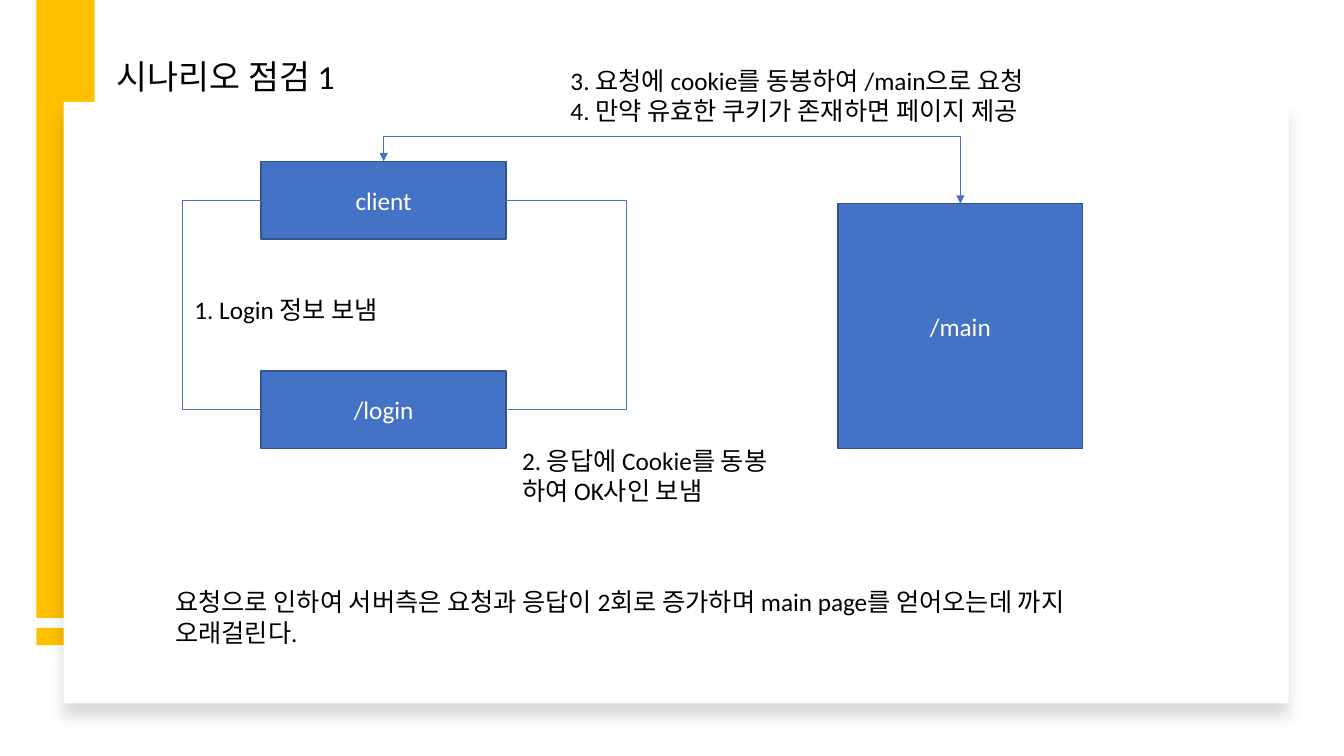
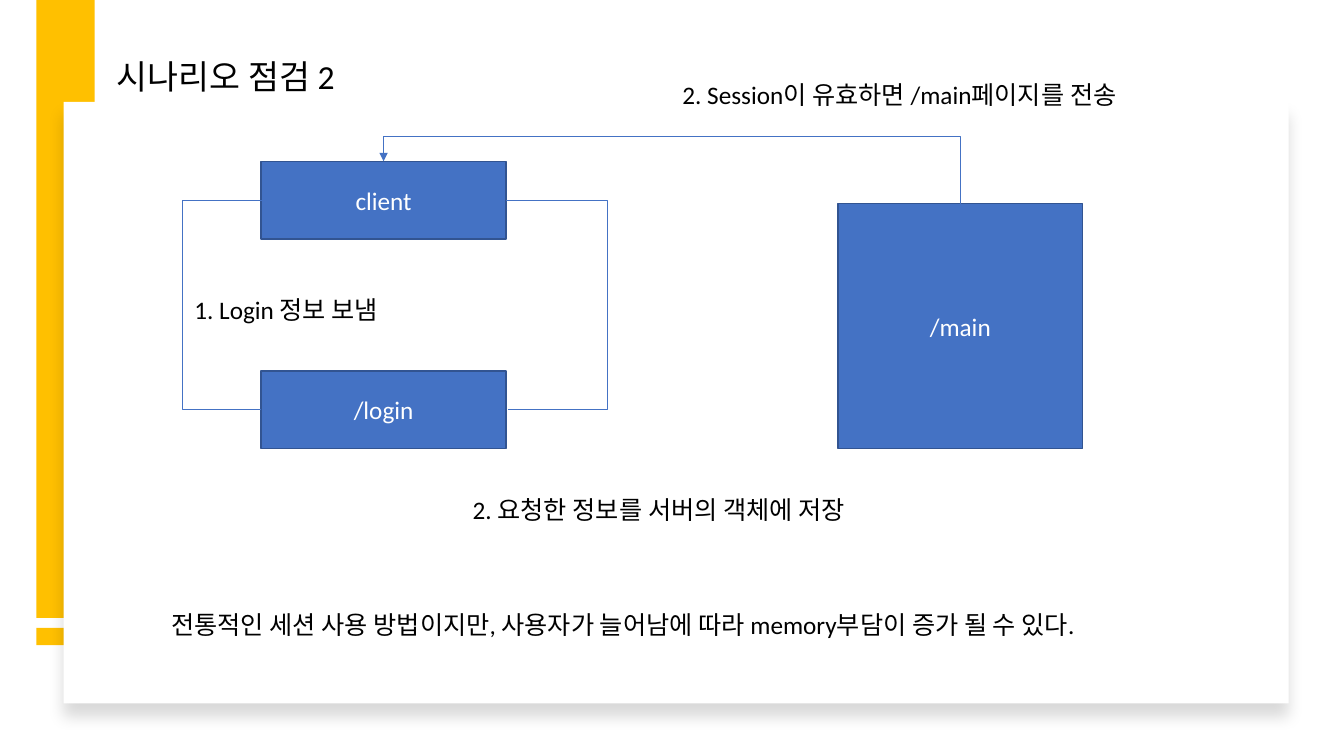
from lxml.etree import SubElement
from pptx import Presentation
from pptx.dml.color import RGBColor
from pptx.enum.shapes import MSO_CONNECTOR, MSO_SHAPE
from pptx.enum.text import MSO_ANCHOR, MSO_AUTO_SIZE, PP_ALIGN
from pptx.oxml.ns import qn
from pptx.util import Inches, Pt

FONT = "Calibri"
BLACK = "000000"
WHITE = "FFFFFF"
AMBER = "FFC000"
BLUE = "4472C4"
NAVY = "325491"
TOP, LEFT, RIGHT = 0, 1, 3


def color(value):
    return RGBColor.from_string(value)


def write(frame, text, size=18, ink=BLACK, align=PP_ALIGN.LEFT,
          anchor=MSO_ANCHOR.TOP, fit=MSO_AUTO_SIZE.SHAPE_TO_FIT_TEXT):
    frame.word_wrap = True
    frame.auto_size = fit
    frame.vertical_anchor = anchor
    for index, line in enumerate(text.split("\n")):
        para = frame.add_paragraph() if index else frame.paragraphs[0]
        para.alignment = align
        span = para.add_run()
        span.text = line
        span.font.name = FONT
        span.font.size = Pt(size)
        span.font.color.rgb = color(ink)


def add_label(page, text, left, top, width, height=0.4):
    box = page.shapes.add_textbox(*map(Inches, (left, top, width, height)))
    write(box.text_frame, text)


def add_block(page, left, top, width, height, fill, outline=None):
    box = page.shapes.add_shape(
        MSO_SHAPE.RECTANGLE, *map(Inches, (left, top, width, height)))
    box.shadow.inherit = False
    box.fill.solid()
    box.fill.fore_color.rgb = color(fill)
    if outline:
        box.line.color.rgb = color(outline)
        box.line.width = Pt(1)
    else:
        box.line.fill.background()
    return box


def add_node(page, text, left, top, width, height):
    box = add_block(page, left, top, width, height, BLUE, NAVY)
    write(box.text_frame, text, ink=WHITE, align=PP_ALIGN.CENTER,
          anchor=MSO_ANCHOR.MIDDLE, fit=MSO_AUTO_SIZE.NONE)
    return box


def add_panel(page, left, top, width, height):
    panel = add_block(page, left, top, width, height, WHITE)
    effects = panel.element.spPr.find(qn("a:effectLst"))
    shadow = SubElement(effects, qn("a:outerShdw"), blurRad=str(Pt(11)),
                        dist=str(Pt(10)), dir="5400000", algn="t", rotWithShape="0")
    tint = SubElement(shadow, qn("a:srgbClr"), val=BLACK)
    SubElement(tint, qn("a:alpha"), val="15000")


def add_elbow(page, start, end, box, bend, rotation=0, flip=None, arrows=()):
    line = page.shapes.add_connector(MSO_CONNECTOR.ELBOW, 0, 0, 0, 0)
    line.begin_connect(*start)
    line.end_connect(*end)
    line.left, line.top, line.width, line.height = map(int, box)
    line.line.color.rgb = color(BLUE)
    line.line.width = Pt(0.5)
    properties = line.element.spPr
    frame = properties.find(qn("a:xfrm"))
    for name in ("flipH", "flipV"):
        frame.attrib.pop(name, None)
    frame.set("rot", str(rotation * 60000))
    if flip:
        frame.set(flip, "1")
    geometry = properties.find(qn("a:prstGeom"))
    guides = geometry.find(qn("a:avLst"))
    if guides is None:
        guides = SubElement(geometry, qn("a:avLst"))
    SubElement(guides, qn("a:gd"), name="adj1", fmla=f"val {round(bend * 100000)}")
    outline = properties.find(qn("a:ln"))
    for arrow in arrows:
        SubElement(outline, qn(f"a:{arrow}"), type="triangle")
    SubElement(properties, qn("a:effectLst"))


def add_side_link(page, upper, lower, side, reach):
    middle = upper.top + upper.height / 2
    height = lower.top + lower.height / 2 - middle
    edge = upper.left + (upper.width if side == RIGHT else 0)
    turn = {"rotation": 180, "flip": "flipV"} if side == LEFT else {}
    add_elbow(page, (upper, side), (lower, side), (edge, middle, Pt(1), height),
              Inches(reach) / Pt(1), **turn)


def add_top_link(page, client, main, two_way):
    client_x = client.left + client.width / 2
    main_x = main.left + main.width / 2
    width, height = main.top - client.top, main_x - client_x
    box = ((client_x + main_x - width) / 2,
           (client.top + main.top - height) / 2, width, height)
    rise = Inches(0.25) / width
    if two_way:
        add_elbow(page, (client, TOP), (main, TOP), box, -rise, 270, "flipH",
                  ("headEnd", "tailEnd"))
    else:
        add_elbow(page, (main, TOP), (client, TOP), box, 1 + rise, 270, "flipV",
                  ("tailEnd",))


def add_diagram(page, left, top, right_reach, two_way):
    login = add_node(page, "/login", left, top + 2.08, 2.43, 0.77)
    main = add_node(page, "/main", left + 5.72, top + 0.42, 2.43, 2.43)
    client = add_node(page, "client", left, top, 2.43, 0.77)
    add_label(page, "1. Login 정보 보냄", left - 0.76, top + 1.27, 2.39)
    add_side_link(page, client, login, LEFT, 0.8)
    add_side_link(page, client, login, RIGHT, right_reach)
    add_top_link(page, client, main, two_way)


def add_scenario(deck, title, labels, right_reach, two_way):
    page = deck.slides.add_slide(deck.slide_layouts[5])
    heading = page.shapes.title
    heading.left, heading.top, heading.width, heading.height = map(
        Inches, (1.06, 0.5, 6.32, 0.5))
    write(heading.text_frame, title, size=24)
    add_block(page, 0.36, 6.23, 0.58, 0.17, AMBER)
    add_block(page, 0.36, 0, 0.58, 6.13, AMBER)
    add_panel(page, 0.63, 1.01, 12.15, 5.97)
    add_diagram(page, 2.59, 1.6, right_reach, two_way)
    for label in labels:
        add_label(page, *label)


def main():
    deck = Presentation()
    deck.slide_width = Inches(13.33)
    deck.slide_height = Inches(7.5)
    add_scenario(deck, "시나리오 점검 1", [
        ("2. 응답에 Cookie를 동봉 하여 OK사인 보냄", 5.08, 4.37, 2.92, 0.71),
        ("3. 요청에 cookie를 동봉하여 /main으로 요청\n"
         "4. 만약 유효한 쿠키가 존재하면 페이지 제공", 5.56, 0.6, 6.01, 0.71),
        ("요청으로 인하여 서버측은 요청과 응답이 2회로 증가하며 "
         "main page를 얻어오는데 까지 오래걸린다.", 1.64, 5.77, 9.7, 0.71),
    ], right_reach=1.2, two_way=True)
    add_scenario(deck, "시나리오 점검 2", [
        ("2. 요청한 정보를 서버의 객체에 저장", 4.59, 4.85, 5.09),
        ("2. Session이 유효하면 /main페이지를 전송", 6.67, 0.74, 5.09),
        ("전통적인 세션 사용 방법이지만, 사용자가 늘어남에 따라 "
         "memory부담이 증가 될 수 있다.", 1.6, 6, 10.23),
    ], right_reach=1.01, two_way=False)
    deck.save("out.pptx")


if __name__ == "__main__":
    main()
